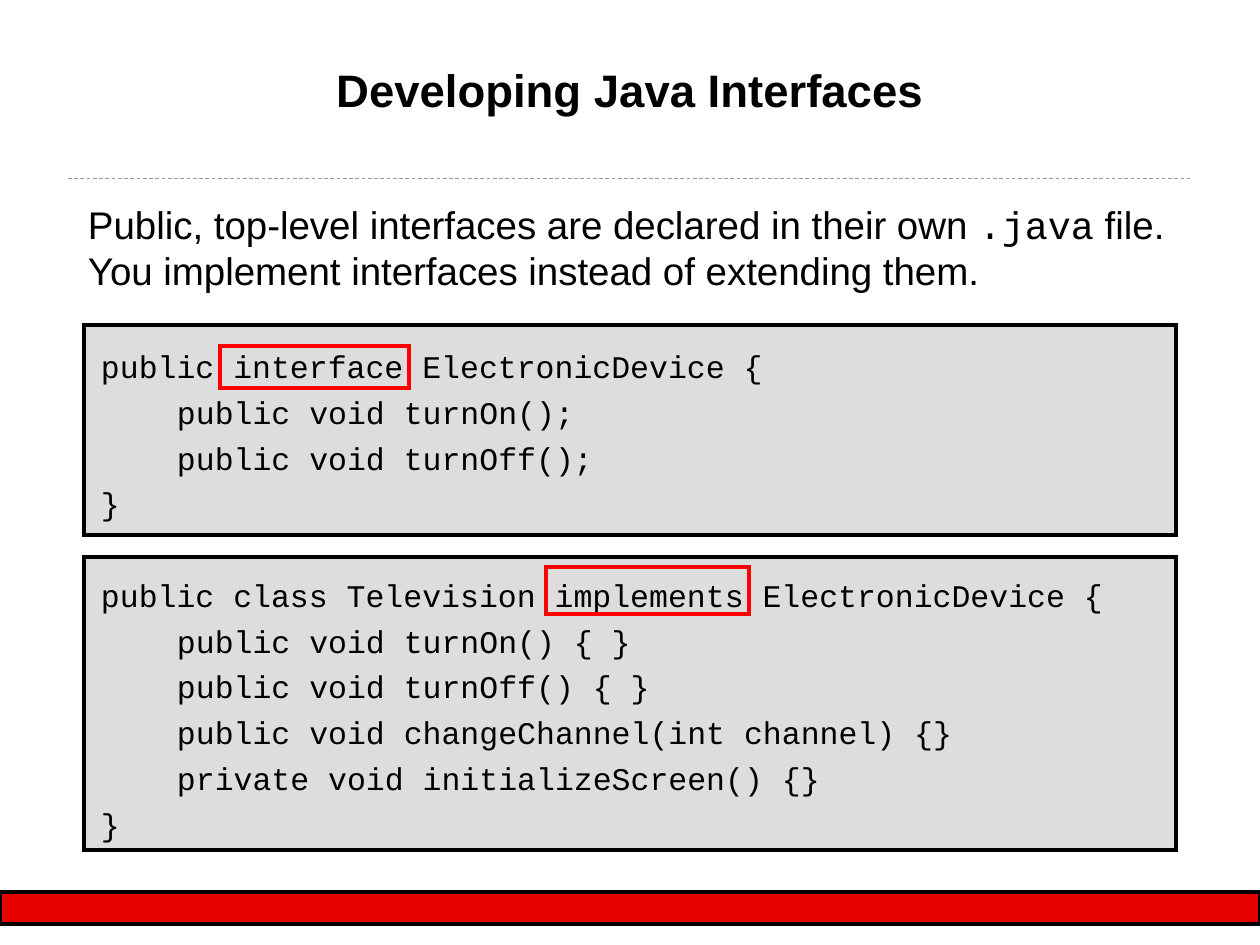
from dataclasses import dataclass
from typing import Optional

from lxml.etree import SubElement
from pptx import Presentation
from pptx.dml.color import RGBColor
from pptx.enum.dml import MSO_LINE
from pptx.enum.shapes import MSO_CONNECTOR, MSO_SHAPE
from pptx.enum.text import MSO_ANCHOR, MSO_AUTO_SIZE, PP_ALIGN
from pptx.oxml.ns import qn
from pptx.util import Emu, Pt

BLACK = RGBColor(0x00, 0x00, 0x00)
GREY = RGBColor(0x99, 0x99, 0x99)
PALE = RGBColor(0xDD, 0xDD, 0xDD)
RED = RGBColor(0xFF, 0x00, 0x00)
DEEP = RGBColor(0xE7, 0x00, 0x00)
SANS = "Arial"
MONO = "Courier New"
EDGE = 84
WIDE = 1092
RULE_TOP = 178
CODE_LEFT = 16
CODE_STEP = 76
CODE_GAP = 4.5
BLOCK_GAP = 30.8


@dataclass
class Box:
    left: int
    top: int
    width: int
    height: int
    fill: Optional[RGBColor]
    line: RGBColor
    kind: MSO_SHAPE = MSO_SHAPE.RECTANGLE


@dataclass
class Code:
    depth: int
    text: str


PANELS = [
    Box(0, 892, 1260, 32, DEEP, BLACK, MSO_SHAPE.FLOWCHART_PROCESS),
    Box(EDGE, 557, WIDE, 293, PALE, BLACK),
    Box(EDGE, 325, WIDE, 210, PALE, BLACK),
]
MARKS = [
    Box(220, 346, 189, 42, None, RED),
    Box(546, 567, 203, 47, None, RED),
]
INTRO = [
    ("Public, top-level interfaces are declared in their own ", SANS),
    (".java", MONO),
    (" file. You implement interfaces instead of extending them.", SANS),
]
BLOCKS = [
    [
        Code(0, "public interface ElectronicDevice {"),
        Code(1, "public void turnOn();"),
        Code(1, "public void turnOff();"),
        Code(0, "}"),
    ],
    [
        Code(0, "public class Television implements ElectronicDevice {"),
        Code(1, "public void turnOn() { }"),
        Code(1, "public void turnOff() { }"),
        Code(1, "public void changeChannel(int channel) {}"),
        Code(1, "private void initializeScreen() {}"),
        Code(0, "}"),
    ],
]


def px(size: int) -> Emu:
    return Emu(round(size * 914400 / 126))


def draw_box(slide, box: Box) -> None:
    shape = slide.shapes.add_shape(
        box.kind, px(box.left), px(box.top), px(box.width), px(box.height))
    shape.shadow.inherit = False
    if box.fill is None:
        shape.fill.background()
    else:
        shape.fill.solid()
        shape.fill.fore_color.rgb = box.fill
    shape.line.color.rgb = box.line
    shape.line.width = Pt(2.25)
    edge = shape.element.spPr.find(qn("a:ln"))
    SubElement(edge, qn("a:miter"), lim="800000")


def draw_rule(slide) -> None:
    rule = slide.shapes.add_connector(
        MSO_CONNECTOR.STRAIGHT, px(68), px(RULE_TOP), px(1192), px(RULE_TOP))
    rule.line.color.rgb = GREY
    rule.line.width = Pt(0.5)
    rule.line.dash_style = MSO_LINE.DASH
    SubElement(rule.element.spPr, qn("a:effectLst"))


def place(slide, holder, top: int, height: int):
    holder.left, holder.top = px(EDGE), px(top)
    holder.width, holder.height = px(WIDE), px(height)
    slide.shapes.element.append(holder.element)
    frame = holder.text_frame
    frame.word_wrap = True
    frame.auto_size = MSO_AUTO_SIZE.NONE
    frame.vertical_anchor = MSO_ANCHOR.TOP
    frame.margin_left = frame.margin_right = frame.margin_bottom = px(1)
    frame.margin_top = px(2)
    return frame


def set_par(par, left: int, gap: float) -> None:
    par.space_before = Pt(gap)
    par.space_after = Pt(0)
    par.line_spacing = 1.0
    props = par._p.get_or_add_pPr()
    props.set("marL", str(px(left)))
    props.set("indent", "0")
    SubElement(props, qn("a:buNone"))


def add_run(par, text: str, face: str, size: int, bold: bool = False) -> None:
    run = par.add_run()
    run.text = text
    run.font.name = face
    run.font.size = Pt(size)
    run.font.bold = bold
    run.font.color.rgb = BLACK


def write_title(slide) -> None:
    par = place(slide, slide.shapes.title, 60, 121).paragraphs[0]
    set_par(par, 0, 0)
    par.alignment = PP_ALIGN.CENTER
    add_run(par, "Developing Java Interfaces", SANS, 26, True)


def write_body(slide) -> None:
    frame = place(slide, slide.placeholders[1], 199, 644)
    par = frame.paragraphs[0]
    set_par(par, 3, 0)
    for text, face in INTRO:
        add_run(par, text, face, 22)
    for block in BLOCKS:
        for row, code in enumerate(block):
            par = frame.add_paragraph()
            par.level = 1
            set_par(par, CODE_LEFT + code.depth * CODE_STEP,
                    CODE_GAP if row else BLOCK_GAP)
            add_run(par, code.text, MONO, 18)


def main() -> None:
    deck = Presentation()
    deck.slide_width, deck.slide_height = px(1260), px(945)
    slide = deck.slides.add_slide(deck.slide_layouts[1])
    draw_rule(slide)
    for box in PANELS:
        draw_box(slide, box)
    write_title(slide)
    write_body(slide)
    for box in MARKS:
        draw_box(slide, box)
    deck.save("out.pptx")


if __name__ == "__main__":
    main()
